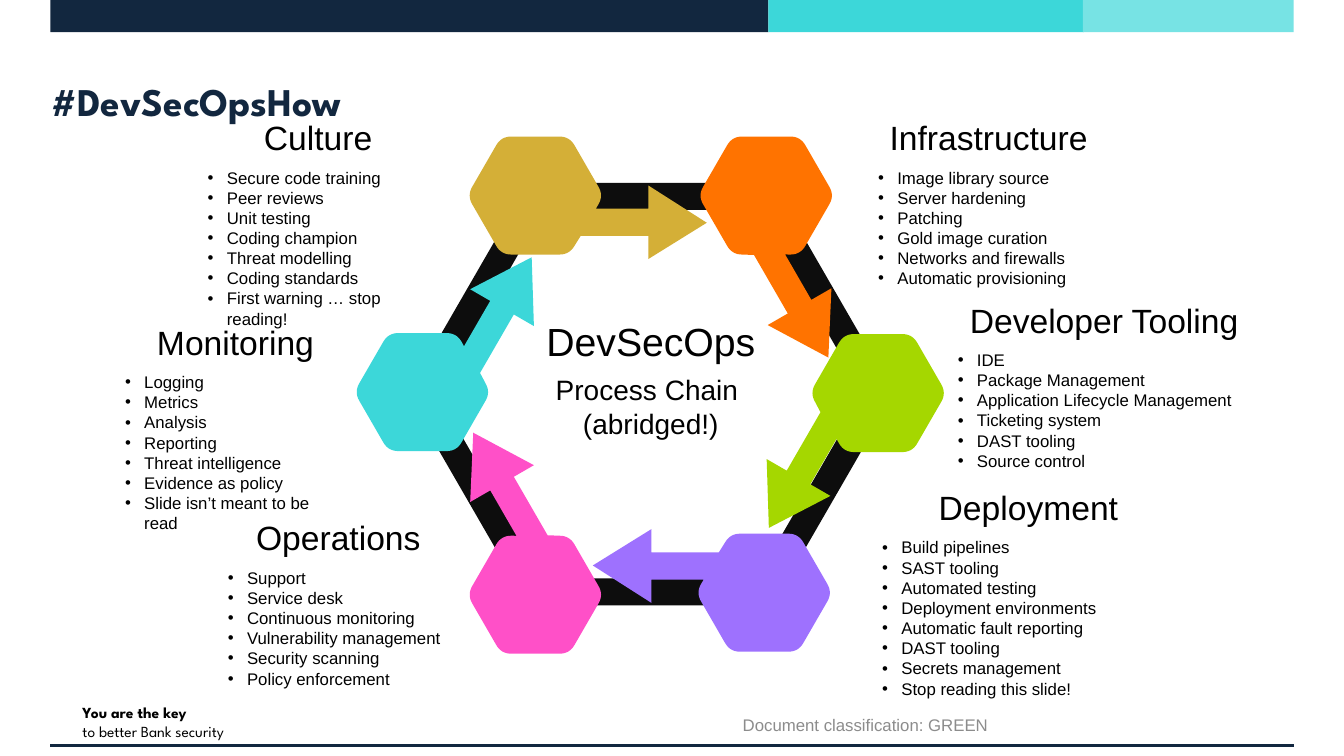
import math

from lxml import etree
from pptx import Presentation
from pptx.dml.color import RGBColor
from pptx.enum import shapes as kinds, text as styles
from pptx.oxml.ns import qn
from pptx.util import Inches, Pt

NAVY, TEAL, BLACK = "12273F", "3CD7D9", "000000"
LEFT, CENTER = styles.PP_ALIGN.LEFT, styles.PP_ALIGN.CENTER
TOP, MIDDLE, BOTTOM = styles.MSO_ANCHOR.TOP, styles.MSO_ANCHOR.MIDDLE, styles.MSO_ANCHOR.BOTTOM
HEX_RADIUS, HEX_TRIM = 0.676, 0.1
ARROW = [(0.6, 0.13), (1.12, 0.13), (1.12, -0.1), (1.7, 0.27),
         (1.12, 0.63), (1.12, 0.4), (0.45, 0.4)]

BANDS = [(0.5, 7.12, NAVY), (7.62, 3.13, TEAL), (10.74, 2.09, "77E3E4")]

STEPS = [
    (5.31, 1.94, "D4AF37"),
    (7.6, 1.94, "FF7300"),
    (8.71, 3.9, "A5D700"),
    (7.58, 5.88, "9E71FE"),
    (5.31, 5.9, "FF50C8"),
    (4.19, 3.89, TEAL),
]

TOPICS = [
    ("Culture", 2.06, 1.61, 2.19, 1.72,
     ["Secure code training", "Peer reviews", "Unit testing", "Coding champion",
      "Threat modelling", "Coding standards", "First warning … stop reading!"]),
    ("Developer Tooling", 9.5, 3.42, 2.9, 1.31,
     ["IDE", "Package Management", "Application Lifecycle Management",
      "Ticketing system", "DAST tooling", "Source control"]),
    ("Infrastructure", 8.71, 1.61, 2.19, 1.31,
     ["Image library source", "Server hardening", "Patching", "Gold image curation",
      "Networks and firewalls", "Automatic provisioning"]),
    ("Monitoring", 1.24, 3.64, 2.19, 1.72,
     ["Logging", "Metrics", "Analysis", "Reporting", "Threat intelligence",
      "Evidence as policy", "Slide isn’t meant to be read"]),
    ("Operations", 2.26, 5.58, 2.19, 1.31,
     ["Support", "Service desk", "Continuous monitoring", "Vulnerability management",
      "Security scanning", "Policy enforcement"]),
    ("Deployment", 8.75, 5.28, 2.9, 1.72,
     ["Build pipelines", "SAST tooling", "Automated testing", "Deployment environments",
      "Automatic fault reporting", "DAST tooling", "Secrets management",
      "Stop reading this slide!"]),
]


def rgb(value):
    """Turn a hex string into a colour."""
    return RGBColor.from_string(value)


def paint(shape, color):
    """Give a shape a plain fill with no line or shadow."""
    shape.shadow.inherit = False
    shape.fill.solid()
    shape.fill.fore_color.rgb = rgb(color)
    shape.line.fill.background()


def add_bullet(paragraph):
    """Put a hanging round bullet on a paragraph."""
    properties = paragraph._p.get_or_add_pPr()
    properties.set("marL", str(Inches(0.19)))
    properties.set("indent", str(-Inches(0.19)))
    etree.SubElement(properties, qn("a:buFont")).set("typeface", "Arial")
    etree.SubElement(properties, qn("a:buChar")).set("char", "•")


def add_text(shapes, box, lines, size, color=BLACK, font="Arial", align=LEFT, anchor=TOP,
             insets=(0, 0.05), bold_lines=0, bulleted=False, wrap=True):
    """Add a text box with one paragraph per line."""
    frame = shapes.add_textbox(*map(Inches, box)).text_frame
    frame.word_wrap = wrap
    frame.vertical_anchor = anchor
    frame.margin_left = frame.margin_right = Inches(insets[0])
    frame.margin_top = frame.margin_bottom = Inches(insets[1])
    for index, line in enumerate(lines):
        paragraph = frame.add_paragraph() if index else frame.paragraphs[0]
        paragraph.alignment = align
        if bulleted:
            add_bullet(paragraph)
        run = paragraph.add_run()
        run.text = line
        run.font.name = font
        run.font.size = Pt(size)
        run.font.bold = index < bold_lines
        run.font.color.rgb = rgb(color)


def polar(radius, degrees):
    """Return the point at a radius and an angle around zero."""
    angle = math.radians(degrees)
    return radius * math.cos(angle), radius * math.sin(angle)


def rounded_corner(radius, trim, degrees):
    """Return the points that round one corner of a hexagon."""
    x, y = polar(radius, degrees)
    start, end = polar(trim, degrees - 120), polar(trim, degrees + 120)
    ratios = [step / 8 for step in range(9)]
    return [(x + (1 - t) ** 2 * start[0] + t ** 2 * end[0],
             y + (1 - t) ** 2 * start[1] + t ** 2 * end[1]) for t in ratios]


def rounded_hexagon(radius, trim):
    """Return the outline of a hexagon with rounded corners."""
    return [point for side in range(6) for point in rounded_corner(radius, trim, 60 * side)]


def place(points, x, y, degrees=0):
    """Rotate points clockwise, move them and convert them to lengths."""
    cos, sin = polar(1, degrees)
    return [(Inches(x + px * cos - py * sin), Inches(y + px * sin + py * cos))
            for px, py in points]


def add_outline(shapes, contours, color):
    """Draw closed contours as one filled shape."""
    builder = shapes.build_freeform(*contours[0][0])
    builder.add_line_segments(contours[0][1:])
    for contour in contours[1:]:
        builder.move_to(*contour[0])
        builder.add_line_segments(contour[1:])
    paint(builder.convert_to_shape(), color)


def add_chain(shapes):
    """Draw the ring and its six steps, each pointing to the next."""
    ring = [place(rounded_hexagon(2.42, 0.18), 6.45, 3.91),
            place(rounded_hexagon(2.11, 0.04)[::-1], 6.45, 3.91)]
    add_outline(shapes, ring, "0D0D0D")
    hexagon = rounded_hexagon(HEX_RADIUS, HEX_TRIM)
    first_corner = len(hexagon) // 6
    step_outline = hexagon[:first_corner] + ARROW + hexagon[first_corner:]
    for index, (x, y, color) in enumerate(STEPS):
        add_outline(shapes, [place(step_outline, x, y, 60 * index)], color)


def add_topic(shapes, heading, left, top, width, height, items):
    """Add a heading with its bulleted list as a group."""
    topic = shapes.add_group_shape().shapes
    add_text(topic, (left, top - 0.5, width, 0.5), [heading], 24, align=CENTER, anchor=BOTTOM)
    add_text(topic, (left, top, width, height), items, 12, bulleted=True)


def add_frame(shapes):
    """Add the top bands, the footer texts and the bottom rule."""
    for left, width, color in BANDS:
        band = shapes.add_shape(kinds.MSO_SHAPE.RECTANGLE, Inches(left), 0,
                                Inches(width), Inches(0.32))
        paint(band, color)
    add_text(shapes, (0.72, 6.93, 1.87, 0.47),
             ["You are the key", "to better Bank security"], 11, font="League Spartan",
             insets=(0.1, 0.05), bold_lines=1, wrap=False)
    rule = shapes.add_connector(kinds.MSO_CONNECTOR.STRAIGHT, Inches(0.5), Inches(7.4),
                                Inches(12.83), Inches(7.4))
    rule.line.color.rgb = rgb(NAVY)
    rule.line.width = Pt(2.25)
    etree.SubElement(rule._element.spPr, qn("a:effectLst"))
    add_text(shapes, (5.5, 6.98, 6.17, 0.42), ["Document classification: GREEN"], 12,
             color="8C8C8C", align=CENTER, anchor=MIDDLE, insets=(0.1, 0.05))


def main():
    """Build the slide and save it."""
    deck = Presentation()
    deck.slide_width, deck.slide_height = Inches(13.33), Inches(7.5)
    shapes = deck.slides.add_slide(deck.slide_layouts[6]).shapes
    add_frame(shapes)
    add_text(shapes, (0.51, 0.5, 12.33, 1), ["#DevSecOpsHow"], 28, color=NAVY,
             font="League Spartan", anchor=MIDDLE, insets=(0, 0), bold_lines=1)
    add_chain(shapes)
    center = shapes.add_group_shape().shapes
    add_text(center, (5.36, 3.09, 2.19, 0.57), ["DevSecOps"], 28, align=CENTER, anchor=BOTTOM)
    add_text(center, (5.36, 3.65, 2.19, 0.77), ["Process Chain ", "(abridged!)"], 20,
             align=CENTER)
    for topic in TOPICS:
        add_topic(shapes, *topic)
    deck.save("out.pptx")


if __name__ == "__main__":
    main()
